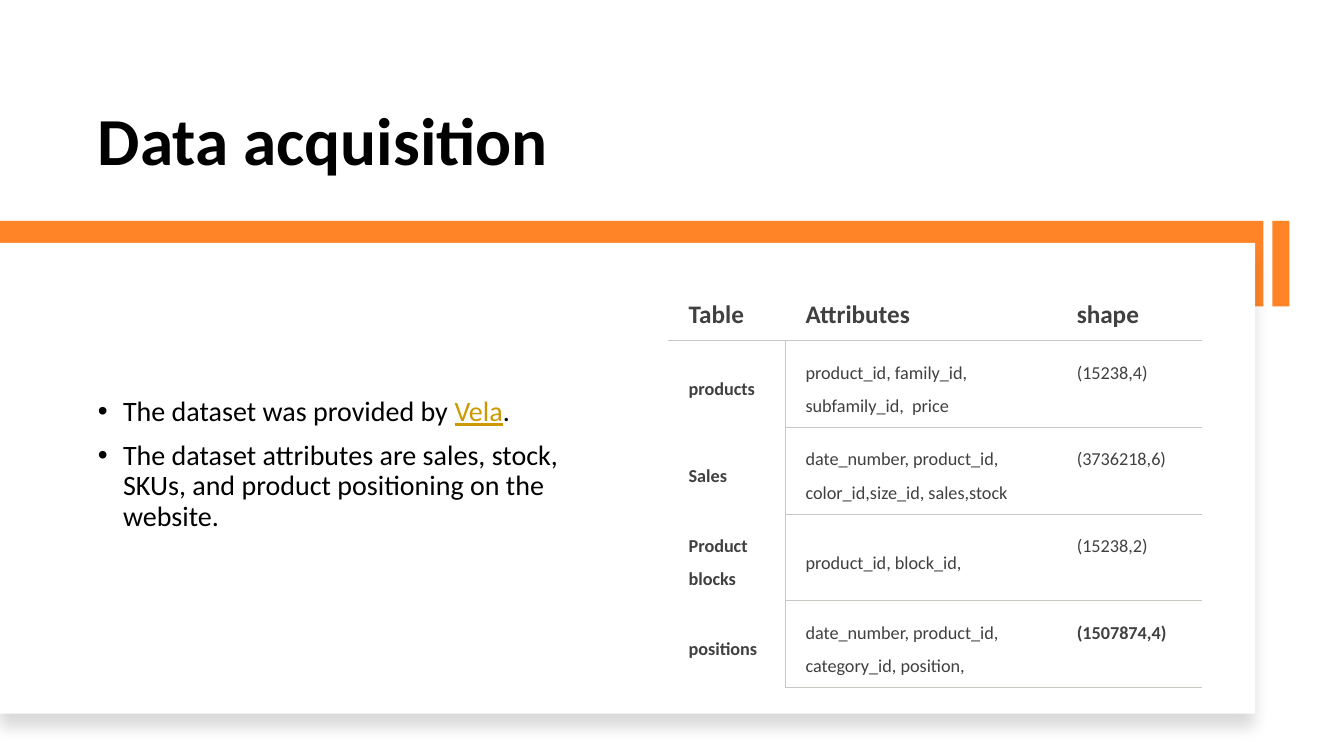
from lxml import etree
from pptx import Presentation
from pptx.dml.color import RGBColor
from pptx.enum.shapes import MSO_SHAPE
from pptx.enum.text import MSO_ANCHOR, MSO_AUTO_SIZE, PP_ALIGN
from pptx.oxml.ns import qn
from pptx.util import Inches, Pt

RECT = MSO_SHAPE.RECTANGLE
TOP, MIDDLE, BOTTOM = MSO_ANCHOR.TOP, MSO_ANCHOR.MIDDLE, MSO_ANCHOR.BOTTOM
LEFT = PP_ALIGN.LEFT
NO_FIT = MSO_AUTO_SIZE.NONE

# Content
TITLE = "Data acquisition"
LINK = "Vela"
BULLETS = [
    ["The dataset was provided by ", LINK, "."],
    ["The dataset attributes are sales, stock, SKUs, and product positioning on the website."],
]
ROWS = [
    ("Table", "Attributes", "shape"),
    ("products", "product_id, family_id, subfamily_id,  price", "(15238,4)"),
    ("Sales", "date_number, product_id, color_id,size_id, sales,stock", "(3736218,6)"),
    ("Product blocks", "product_id, block_id,", "(15238,2)"),
    ("positions", "date_number, product_id, category_id, position,", "(1507874,4)"),
]
BOLD_CELLS = {(4, 2)}

# Style and layout, in inches
COLORS = {"orange": "FF8427", "card": "FFFFFF", "text": "000000",
          "link": "CC9900", "table": "404040", "rule": "C7C6C1"}
FONT = "Calibri"
W, H = 13.33, 7.5
MARGIN = 0.87
BAND_TOP, BAND_W, BAND_H = 2.19, 12.53, 0.85
COL_W = [1.16, 2.69, 1.44]
HEAD_H, ROW_H = 0.66, 0.86


def color(name):
    return RGBColor.from_string(COLORS[name])


def style(r, size, name, bold=False):
    r.font.name, r.font.size, r.font.bold = FONT, Pt(size), bold
    r.font.color.rgb = color(name)


def place(sp, x, y, w, h):
    sp.left, sp.top, sp.width, sp.height = (Inches(v) for v in (x, y, w, h))


def add_rect(x, y, w, h, fill):
    sp = slide.shapes.add_shape(RECT, *(Inches(v) for v in (x, y, w, h)))
    sp.shadow.inherit = False
    sp.fill.solid()
    sp.fill.fore_color.rgb = color(fill)
    sp.line.fill.background()
    return sp


def add_shadow(sp, blur, dist, alpha):
    effects = sp._element.spPr.find(qn("a:effectLst"))
    shadow = etree.SubElement(effects, qn("a:outerShdw"), blurRad=str(Pt(blur)),
                              dist=str(Pt(dist)), dir="5400000", rotWithShape="0")
    clr = etree.SubElement(shadow, qn("a:srgbClr"), val="000000")
    etree.SubElement(clr, qn("a:alpha"), val=str(alpha * 1000))


def set_borders(cell, sides):
    tcPr = cell._tc.get_or_add_tcPr()
    for i, side in enumerate("LRTB"):
        ln = etree.Element(qn("a:ln" + side), w=str(Pt(0.75)))
        if side in sides:
            fill = etree.SubElement(ln, qn("a:solidFill"))
            etree.SubElement(fill, qn("a:srgbClr"), val=COLORS["rule"])
        else:
            etree.SubElement(ln, qn("a:noFill"))
        tcPr.insert(i, ln)


def cell_sides(i, j):
    if i == 0:
        return "B"
    sides = "B" if j else "R"
    if j == 1:
        sides += "L"
    return sides + "T" if i == 1 or j else sides


prs = Presentation()
prs.slide_width, prs.slide_height = Inches(W), Inches(H)
slide = prs.slides.add_slide(prs.slide_layouts[1])
title, body = slide.placeholders

# Title
place(title, MARGIN, 0.42, 11.01, 1.42)
tf = title.text_frame
tf.text = TITLE
tf.auto_size, tf.vertical_anchor = NO_FIT, BOTTOM
p = tf.paragraphs[0]
p.alignment, p.line_spacing = LEFT, 0.9
style(p.runs[0], 48, "text", bold=True)

# Orange band, accent strip and card
add_rect(0, BAND_TOP, BAND_W, BAND_H, "orange")
card = add_rect(0, 2.41, 12.45, 4.67, "card")
add_shadow(card, blur=11, dist=10, alpha=15)
add_rect(12.62, BAND_TOP, 0.17, BAND_H, "orange")

# Bullets, brought in front of the card
slide.shapes._spTree.append(body._element)
place(body, MARGIN, 2.84, 4.96, 3.54)
tf = body.text_frame
tf.auto_size, tf.vertical_anchor = NO_FIT, MIDDLE
for i, parts in enumerate(BULLETS):
    p = tf.add_paragraph() if i else tf.paragraphs[0]
    p.line_spacing, p.space_before = 0.9, Pt(10)
    pPr = p._p.get_or_add_pPr()
    pPr.set("marL", str(Inches(0.25)))
    pPr.set("indent", str(Inches(-0.25)))
    etree.SubElement(pPr, qn("a:buFont"), typeface="Arial")
    etree.SubElement(pPr, qn("a:buChar"), char="•")
    for part in parts:
        r = p.add_run()
        r.text = part
        style(r, 20, "link" if part == LINK else "text")
        r.font.underline = part == LINK

# Table
table_h = HEAD_H + ROW_H * (len(ROWS) - 1)
table = slide.shapes.add_table(len(ROWS), len(COL_W), Inches(6.63), Inches(2.72),
                               Inches(sum(COL_W)), Inches(table_h)).table
table.first_row = table.horz_banding = False
for col, width in zip(table.columns, COL_W):
    col.width = Inches(width)
for i, texts in enumerate(ROWS):
    table.rows[i].height = Inches(ROW_H if i else HEAD_H)
    for j, text in enumerate(texts):
        cell = table.cell(i, j)
        cell.text = text
        cell.fill.background()
        cell.vertical_anchor = TOP if j == 2 else MIDDLE
        cell.margin_left, cell.margin_right = Inches(0.2), Inches(0.15)
        cell.margin_top = cell.margin_bottom = Inches(0.1)
        set_borders(cell, cell_sides(i, j))
        p = cell.text_frame.paragraphs[0]
        p.line_spacing = 1.5
        bold = i == 0 or j == 0 or (i, j) in BOLD_CELLS
        style(p.runs[0], 13 if i else 18, "table", bold)

prs.save("out.pptx")
